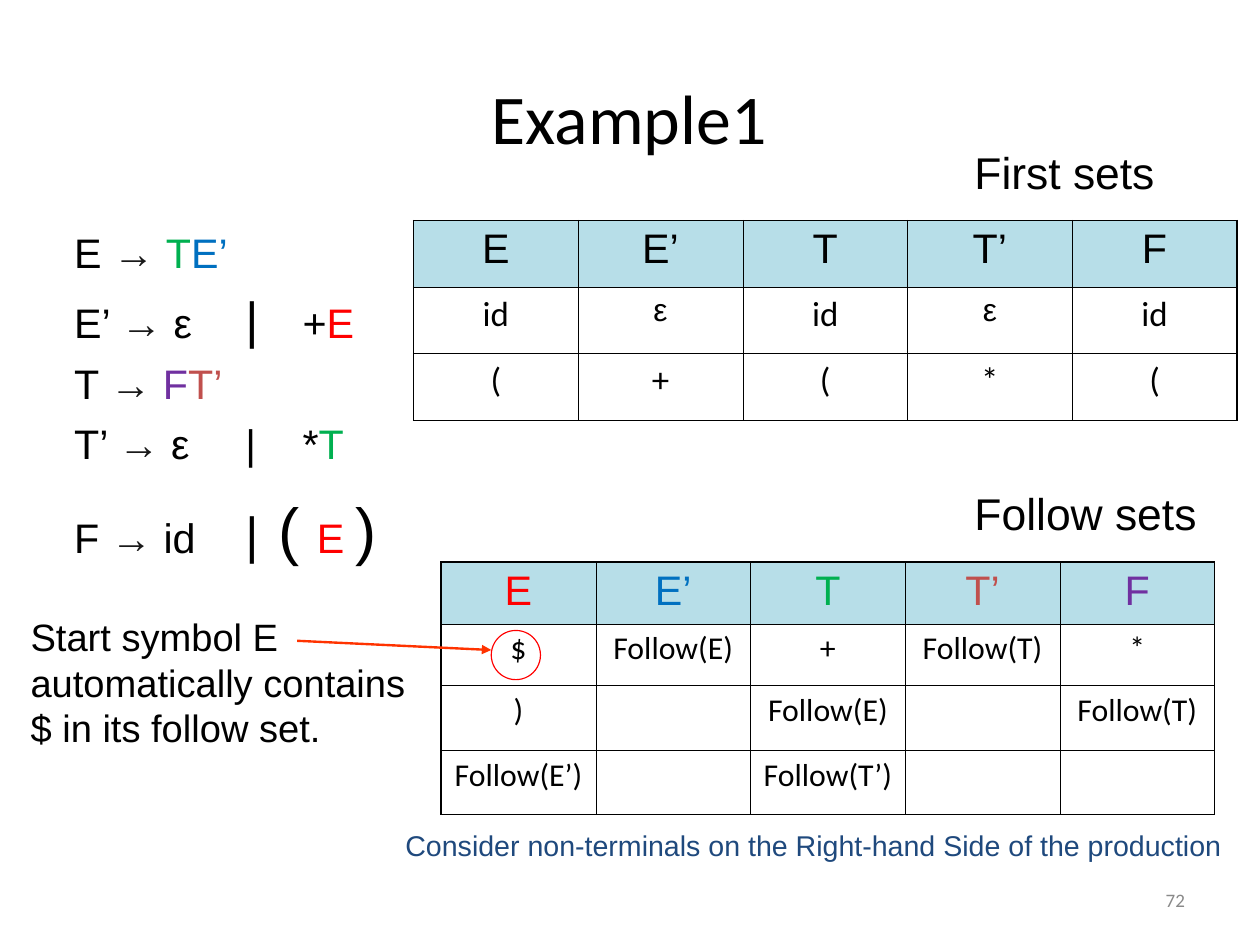
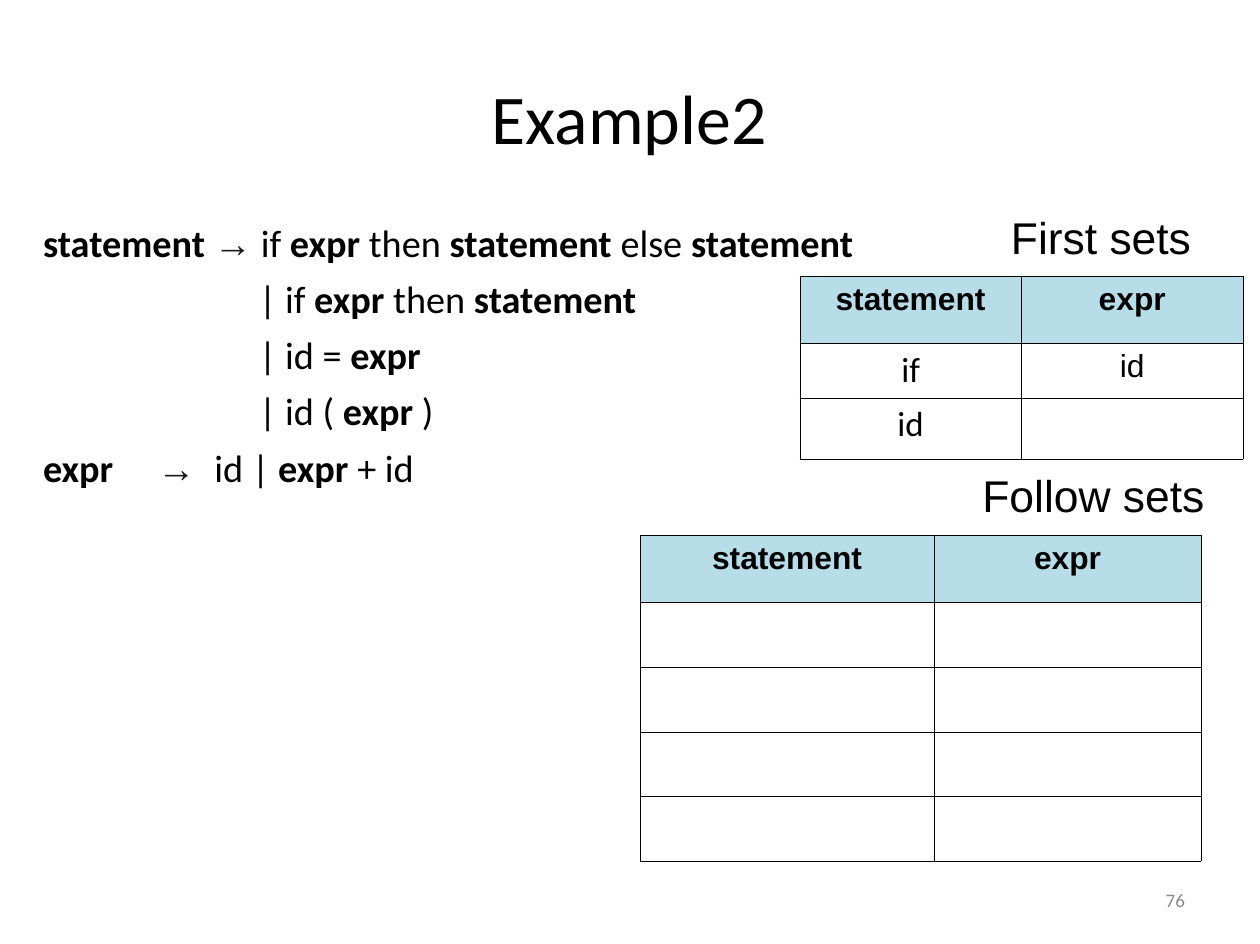
from lxml.etree import SubElement
from pptx import Presentation
from pptx.dml.color import RGBColor
from pptx.enum.shapes import MSO_CONNECTOR, MSO_SHAPE
from pptx.enum.text import MSO_ANCHOR, PP_ALIGN
from pptx.oxml import parse_xml
from pptx.oxml.ns import nsdecls, qn
from pptx.util import Pt

BLACK, GREY, ARROW_INK = "000000", "898989", "191919"
RED, BLUE, GREEN, PURPLE, BRICK = "FF0000", "0070C0", "00B050", "7030A0", "C0504D"
HEADER_FILL, NAVY, POINTER_RED = "B7DEE8", "1F497D", "FF3300"
EPSILON = ("ε", dict(size=20, font="Arial"))
ARROW = ("→", dict(color=ARROW_INK, font="Arial"))
BOLD = dict(bold=True)


def ink(color):
    return dict(color=color)


def bold(word):
    return (word, BOLD)


EXAMPLE_1 = dict(
    title="Example1", number="72",
    grammar=dict(
        box=(39.6, 140, 351, 392), font="Arial", size=26,
        lines=[
            dict(runs=["E ", ARROW, " ", ("T", ink(GREEN)), ("E’", ink(BLUE))]),
            dict(runs=["E’ ", ARROW, " ε\t", ("|", dict(size=32)), "\t+", ("E", ink(RED))],
                 tabs=(89, 114)),
            dict(runs=["T ", ARROW, " ", ("F", ink(PURPLE)), ("T’", ink(BRICK))]),
            dict(runs=["T’ ", ARROW, " ε\t|\t*", ("T", ink(GREEN))], tabs=(87, 116)),
            dict(runs=["F ", ARROW, " id\t", ("|", dict(size=32)), (" ", dict(size=44)),
                       ("( ", dict(size=40)), ("E ", ink(RED)), (")", dict(size=40))],
                 tabs=(91,), before=10),
        ]),
    tables=[
        dict(caption="First sets", caption_at=(607, 88), at=(260.6, 139),
             columns=[103.8] * 5, rows=[42] * 3, outer=1.08, inner=0.45,
             header=dict(size=26), body=dict(size=22),
             cells=[["E", "E’", "T", "T’", "F"],
                    ["id", EPSILON, "id", EPSILON, "id"],
                    ["(", "+", "(", "*", "("]]),
        dict(caption="Follow sets", caption_at=(607, 303), at=(278, 354.3),
             columns=[97.5] * 5, rows=[39, 38.5, 41, 40.5], outer=1.08, inner=0.45,
             header=dict(size=26), body=dict(size=20),
             cells=[[("E", ink(RED)), ("E’", ink(BLUE)), ("T", ink(GREEN)),
                     ("T’", ink(BRICK)), ("F", ink(PURPLE))],
                    ["$", "Follow(E)", "+", "Follow(T)", "*"],
                    [")", "", "Follow(E)", "", "Follow(T)"],
                    ["Follow(E’)", "", "Follow(T’)", "", ""]]),
    ])

EXAMPLE_2 = dict(
    title="Example2", number="76",
    grammar=dict(
        box=(20, 134.6, 686, 186), font="Calibri", size=24.1,
        lines=[
            dict(runs=[bold("statement "), ARROW, " if ", bold("expr"), " then ",
                       bold("statement"), " else ", bold("statement")]),
            dict(runs=["| if ", bold("expr"), " then ", bold("statement")], indent=136),
            dict(runs=["| id = ", bold("expr")], indent=136),
            dict(runs=["| id (", bold(" expr "), ")"], indent=136),
            dict(runs=[bold("expr"), "\t", ARROW, "\tid |", bold(" expr "), "+ id"],
                 tabs=(55.5, 89.5)),
        ]),
    tables=[
        dict(caption="First sets", caption_at=(630, 129), at=(504, 174),
             columns=[139.7] * 2, rows=[42.3, 34.6, 38.4], outer=0.34, inner=0.34,
             header=dict(size=20, bold=True), body=dict(size=22),
             cells=[["statement", "expr"],
                    ["if", ("id", dict(size=20, font="Arial"))],
                    ["id", ""]]),
        dict(caption="Follow sets", caption_at=(612, 291.6), at=(403.5, 337.5),
             columns=[185, 168.5], rows=[42.2] + [40.8] * 4, outer=0.34, inner=0.34,
             header=dict(size=20, bold=True), body=dict(size=20),
             cells=[["statement", "expr"]] + [["", ""]] * 4),
    ])

CONSIDER = "Consider non-terminals on the Right-hand Side of the production"
START_NOTE = "Start symbol E automatically contains $ in its follow set."


def rgb(color):
    return RGBColor.from_string(color)


def write(paragraph, runs, font="Arial", size=18, color=BLACK, bold=False,
          align=PP_ALIGN.LEFT, before=0, indent=0, tabs=()):
    properties = paragraph._p.get_or_add_pPr()
    properties.set("marL", str(Pt(indent)))
    properties.set("indent", "0")
    if tabs:
        stops = SubElement(properties, qn("a:tabLst"))
        for position in tabs:
            SubElement(stops, qn("a:tab"), pos=str(Pt(position)), algn="l")
    paragraph.alignment = align
    paragraph.space_before = Pt(before)
    for item in [runs] if isinstance(runs, str) else runs:
        words, changes = (item, {}) if isinstance(item, str) else item
        style = dict(font=font, size=size, color=color, bold=bold) | changes
        run = paragraph.add_run()
        run.text = words
        run.font.name = style["font"]
        run.font.size = Pt(style["size"])
        run.font.bold = style["bold"]
        run.font.color.rgb = rgb(style["color"])


def add_text(slide, box, lines, anchor=MSO_ANCHOR.TOP, **style):
    frame = slide.shapes.add_textbox(*map(Pt, box)).text_frame
    frame.word_wrap = True
    frame.vertical_anchor = anchor
    for index, line in enumerate([dict(runs=lines)] if isinstance(lines, str) else lines):
        paragraph = frame.add_paragraph() if index else frame.paragraphs[0]
        spacing = dict(before=6.5 if index else 0)
        write(paragraph, **(style | spacing | line))


def set_borders(cell, widths):
    properties = cell._tc.get_or_add_tcPr()
    for index, (side, width) in enumerate(zip("LRTB", widths)):
        properties.insert(index, parse_xml(
            f'<a:ln{side} {nsdecls("a")} w="{Pt(width)}"><a:solidFill>'
            f'<a:srgbClr val="{BLACK}"/></a:solidFill></a:ln{side}>'))


def add_sets(slide, sets):
    add_text(slide, (*sets["caption_at"], 165, 41), sets["caption"], size=28)
    columns, rows = sets["columns"], sets["rows"]
    table = slide.shapes.add_table(
        len(rows), len(columns), *map(Pt, (*sets["at"], sum(columns), sum(rows)))).table
    table.first_row = table.horz_banding = False
    for column, width in zip(table.columns, columns):
        column.width = Pt(width)
    for r, (row, height) in enumerate(zip(table.rows, rows)):
        row.height = Pt(height)
        for c, entry in enumerate(sets["cells"][r]):
            cell = table.cell(r, c)
            if r:
                cell.fill.background()
                style = dict(font="Calibri") | sets["body"]
            else:
                cell.fill.solid()
                cell.fill.fore_color.rgb = rgb(HEADER_FILL)
                style = sets["header"]
            edges = (c == 0, c == len(columns) - 1, r == 0, r == len(rows) - 1)
            set_borders(cell, [sets["outer"] if edge else sets["inner"] for edge in edges])
            if entry:
                write(cell.text_frame.paragraphs[0], [entry], align=PP_ALIGN.CENTER, **style)


def add_example(deck, example):
    slide = deck.slides.add_slide(deck.slide_layouts[6])
    add_text(slide, (568.8, 551.5, 185, 31.7), example["number"], MSO_ANCHOR.MIDDLE,
             font="Calibri", size=12, color=GREY, align=PP_ALIGN.RIGHT)
    add_text(slide, (39.6, 23.8, 714, 99.4), example["title"], MSO_ANCHOR.MIDDLE,
             font="Calibri", size=44, align=PP_ALIGN.CENTER)
    grammar = example["grammar"]
    add_text(slide, grammar["box"], grammar["lines"],
             font=grammar["font"], size=grammar["size"])
    for sets in example["tables"]:
        add_sets(slide, sets)
    return slide


def add_start_note(slide):
    add_text(slide, (248.4, 518.4, 540, 29), CONSIDER, color=NAVY)
    ring = slide.shapes.add_shape(MSO_SHAPE.OVAL, *map(Pt, (309.6, 397.4, 31, 31)))
    ring.shadow.inherit = False
    ring.fill.background()
    ring.line.color.rgb = rgb(RED)
    ring.line.width = Pt(0.75)
    pointer = slide.shapes.add_connector(
        MSO_CONNECTOR.STRAIGHT, *map(Pt, (187.2, 403.9, 309.6, 409.7)))
    pointer.line.color.rgb = rgb(POINTER_RED)
    pointer.line.width = Pt(1.5)
    SubElement(pointer.line._get_or_add_ln(), qn("a:tailEnd"), type="triangle")
    SubElement(pointer._element.spPr, qn("a:effectLst"))
    add_text(slide, (12.2, 383, 254, 94), START_NOTE, size=24)


def main():
    deck = Presentation()
    deck.slide_width, deck.slide_height = Pt(794), Pt(595)
    add_start_note(add_example(deck, EXAMPLE_1))
    add_example(deck, EXAMPLE_2)
    deck.save("out.pptx")


if __name__ == "__main__":
    main()
